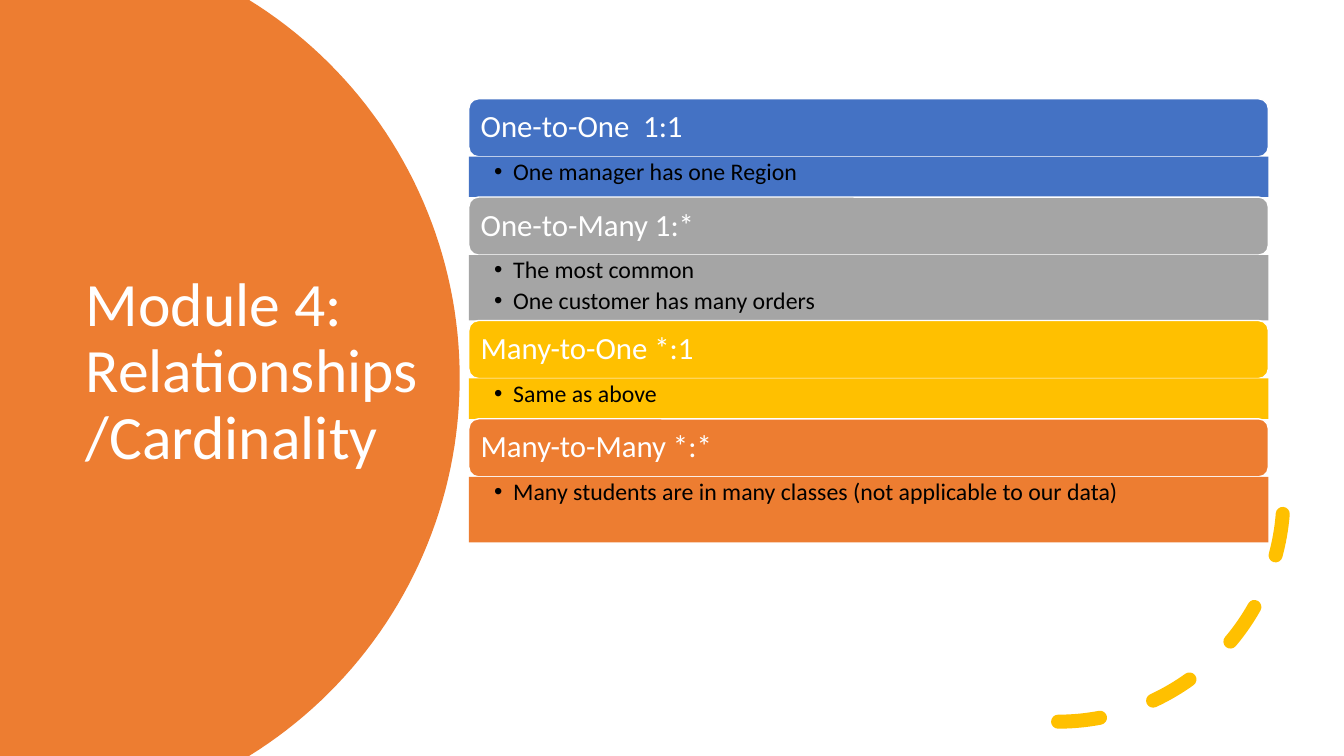
"""Build the Module 4 slide on relationship cardinality."""
import math

from lxml import etree
from pptx import Presentation
from pptx.dml.color import RGBColor
from pptx.enum.dml import MSO_LINE
from pptx.enum.shapes import MSO_SHAPE
from pptx.enum.text import MSO_ANCHOR, MSO_AUTO_SIZE, PP_ALIGN
from pptx.oxml.ns import qn
from pptx.util import Inches, Pt

WHITE = RGBColor(0xFF, 0xFF, 0xFF)
BLACK = RGBColor(0x00, 0x00, 0x00)
BLUE = RGBColor(0x44, 0x72, 0xC4)
GRAY = RGBColor(0xA5, 0xA5, 0xA5)
GOLD = RGBColor(0xFF, 0xC0, 0x00)
ORANGE = RGBColor(0xED, 0x7D, 0x31)
LEFT, TOP, MIDDLE = PP_ALIGN.LEFT, MSO_ANCHOR.TOP, MSO_ANCHOR.MIDDLE
RECT, ROUND_RECT, ARC = MSO_SHAPE.RECTANGLE, MSO_SHAPE.ROUNDED_RECTANGLE, MSO_SHAPE.ARC
DASH, NO_FIT = MSO_LINE.DASH, MSO_AUTO_SIZE.NONE

TITLE = "Module 4: Relationships/Cardinality"
SECTIONS = [
    ("One-to-One  1:1", BLUE, 0.4, ["One manager has one Region"]),
    ("One-to-Many 1:*", GRAY, 0.65, ["The most common", "One customer has many orders"]),
    ("Many-to-One *:1", GOLD, 0.4, ["Same as above"]),
    ("Many-to-Many *:*", ORANGE, 0.65,
     ["Many students are in many classes (not applicable to our data)"]),
]
SLIDE_W, SLIDE_H = 13.33, 7.5
LIST_X, LIST_Y, LIST_W, HEAD_H = 4.65, 0.98, 7.93, 0.575
RADIUS, CENTER_X, STEPS = 4.41, 0.15, 80


def write(sp, lines, size, color, anchor, insets, after=0):
    tf = sp.text_frame
    tf.word_wrap = True
    tf.auto_size = NO_FIT
    tf.vertical_anchor = anchor
    tf.margin_left, tf.margin_top, tf.margin_right, tf.margin_bottom = map(Inches, insets)
    tf.text = "\n".join(lines)
    for p in tf.paragraphs:
        p.alignment = LEFT
        p.line_spacing = 0.9
        p.space_after = Pt(after)
        font = p.runs[0].font
        font.name, font.size = "Calibri", Pt(size)
        font.color.rgb = color


def add_bar(slide, kind, y, h, color):
    sp = slide.shapes.add_shape(kind, Inches(LIST_X), Inches(y), Inches(LIST_W), Inches(h))
    sp.shadow.inherit = False
    sp.fill.solid()
    sp.fill.fore_color.rgb = color
    sp.line.fill.background()
    return sp


def add_bullets(sp):
    for p in sp.text_frame.paragraphs:
        p.level = 1
        pPr = p._p.get_or_add_pPr()
        pPr.set("marL", str(Inches(0.19)))
        pPr.set("indent", str(-Inches(0.19)))
        etree.SubElement(pPr, qn("a:buFont")).set("typeface", "Arial")
        etree.SubElement(pPr, qn("a:buChar")).set("char", "•")


def add_disc(slide):
    half = SLIDE_H / 2
    limit = math.asin(half / RADIUS)
    angles = [limit * (2 * i / STEPS - 1) for i in range(STEPS + 1)]
    rim = [(Inches(CENTER_X + RADIUS * math.cos(a)), Inches(half + RADIUS * math.sin(a)))
           for a in angles]
    builder = slide.shapes.build_freeform(0, 0)
    builder.add_line_segments(rim + [(0, Inches(SLIDE_H))], close=True)
    sp = builder.convert_to_shape()
    sp.shadow.inherit = False
    sp.fill.solid()
    sp.fill.fore_color.rgb = ORANGE
    sp.line.fill.background()
    return sp


def add_dashed_arc(slide):
    sp = slide.shapes.add_shape(ARC, Inches(8.26), Inches(2.69), Inches(4.47), Inches(4.47))
    sp.shadow.inherit = False
    sp.fill.background()
    sp.line.color.rgb = GOLD
    sp.line.width = Pt(10)
    sp.line.dash_style = DASH
    spPr = sp._element.spPr
    spPr.find(qn("a:xfrm")).set("flipV", "1")
    spPr.find(qn("a:ln")).set("cap", "rnd")


def main():
    prs = Presentation()
    prs.slide_width, prs.slide_height = Inches(SLIDE_W), Inches(SLIDE_H)
    slide = prs.slides.add_slide(prs.slide_layouts[5])

    disc = add_disc(slide)
    title = slide.shapes.title
    title.left, title.top = Inches(0.75), Inches(1.26)
    title.width, title.height = Inches(3.5), Inches(4.88)
    write(title, [TITLE], 44, WHITE, MIDDLE, (0.1, 0.05, 0.1, 0.05))
    title._element.addprevious(disc._element)

    add_dashed_arc(slide)

    y = LIST_Y
    for heading, color, body_h, bullets in SECTIONS:
        head = add_bar(slide, ROUND_RECT, y, HEAD_H, color)
        head.line.color.rgb = WHITE
        head.line.width = Pt(1)
        write(head, [heading], 22, WHITE, MIDDLE, (0.09, 0.09, 0.09, 0.09))
        y += HEAD_H
        body = add_bar(slide, RECT, y, body_h, color)
        write(body, bullets, 17, BLACK, TOP, (0.25, 0.03, 0.17, 0.03), after=3.4)
        add_bullets(body)
        y += body_h

    prs.save("out.pptx")


if __name__ == "__main__":
    main()
